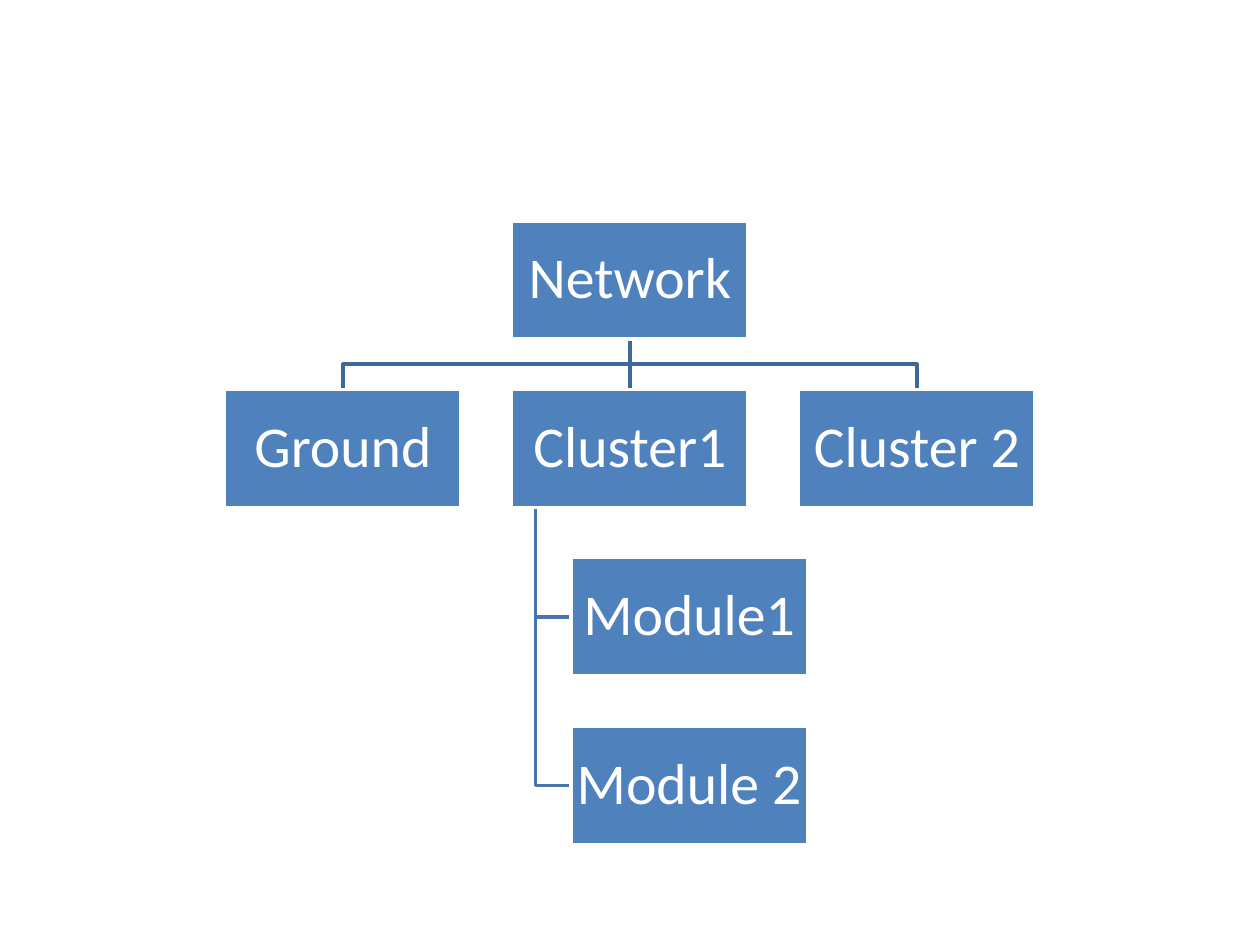
import pptx
import pptx.dml.color
import pptx.enum.shapes
import pptx.enum.text
import pptx.util
from lxml import etree

Pt = pptx.util.Pt

NODE_FILL = "4F81BD"
WHITE = "FFFFFF"
BRANCH = "3F6797"
SUB_BRANCH = "4875AC"

NODE_W, NODE_H = 135.2, 67.6
COLUMN_STEP, ROW_STEP = 164, 96.25
MODULE_INDENT, TRUNK_INDENT = NODE_W / 4, NODE_W / 10


def color(hex_string):
    return pptx.dml.color.RGBColor.from_string(hex_string)


def style_line(line, hex_string):
    line.color.rgb = color(hex_string)
    line.width = Pt(2)


def add_node(slide, label, left, top):
    node = slide.shapes.add_shape(
        pptx.enum.shapes.MSO_SHAPE.RECTANGLE, Pt(left), Pt(top), Pt(NODE_W), Pt(NODE_H)
    )
    node.shadow.inherit = False
    node.fill.solid()
    node.fill.fore_color.rgb = color(NODE_FILL)
    style_line(node.line, WHITE)
    frame = node.text_frame
    frame.word_wrap = True
    frame.vertical_anchor = pptx.enum.text.MSO_ANCHOR.MIDDLE
    frame.margin_left = frame.margin_right = Pt(1.65)
    frame.margin_top = frame.margin_bottom = Pt(1.65)
    label_line = frame.paragraphs[0]
    label_line.text = label
    label_line.alignment = pptx.enum.text.PP_ALIGN.CENTER
    label_line.line_spacing = 0.9
    label_line.font.name = "Calibri"
    label_line.font.size = Pt(33)
    label_line.font.color.rgb = color(WHITE)


def add_elbow(slide, points, hex_string):
    start, *rest = [(Pt(x), Pt(y)) for x, y in points]
    builder = slide.shapes.build_freeform(*start)
    builder.add_line_segments(rest, close=False)
    elbow = builder.convert_to_shape()
    elbow.shadow.inherit = False
    elbow.fill.background()
    style_line(elbow.line, hex_string)


def add_straight(slide, x, top, bottom, hex_string):
    link = slide.shapes.add_connector(
        pptx.enum.shapes.MSO_CONNECTOR.STRAIGHT, Pt(x), Pt(top), Pt(x), Pt(bottom)
    )
    style_line(link.line, hex_string)
    etree.SubElement(link.element.spPr, pptx.oxml.ns.qn("a:effectLst"))


def add_groups(slide, root, groups, left, top):
    root_left = left + COLUMN_STEP * (len(groups) - 1) / 2
    root_x, root_bottom = root_left + NODE_W / 2, top + NODE_H
    group_top = top + ROW_STEP
    middle = (root_bottom + group_top) / 2
    for column in range(len(groups)):
        x = left + column * COLUMN_STEP + NODE_W / 2
        if x == root_x:
            add_straight(slide, x, root_bottom, group_top, BRANCH)
        else:
            bend = [(root_x, root_bottom), (root_x, middle), (x, middle), (x, group_top)]
            add_elbow(slide, bend, BRANCH)
    add_node(slide, root, root_left, top)
    for column, group in enumerate(groups):
        add_node(slide, group, left + column * COLUMN_STEP, group_top)


def add_modules(slide, modules, left, top):
    trunk_x, module_left = left + TRUNK_INDENT, left + MODULE_INDENT
    for row, module in enumerate(modules, start=1):
        module_top = top + row * ROW_STEP
        y = module_top + NODE_H / 2
        bend = [(trunk_x, top + NODE_H), (trunk_x, y), (module_left, y)]
        add_elbow(slide, bend, SUB_BRANCH)
        add_node(slide, module, module_left, module_top)


def main():
    deck = pptx.Presentation()
    deck.slide_width, deck.slide_height = Pt(720), Pt(540)
    slide = deck.slides.add_slide(deck.slide_layouts[6])
    left, top = 128.4, 126.2
    add_modules(slide, ["Module1", "Module 2"], left + COLUMN_STEP, top + ROW_STEP)
    add_groups(slide, "Network", ["Ground", "Cluster1", "Cluster 2"], left, top)
    deck.save("out.pptx")


if __name__ == "__main__":
    main()
